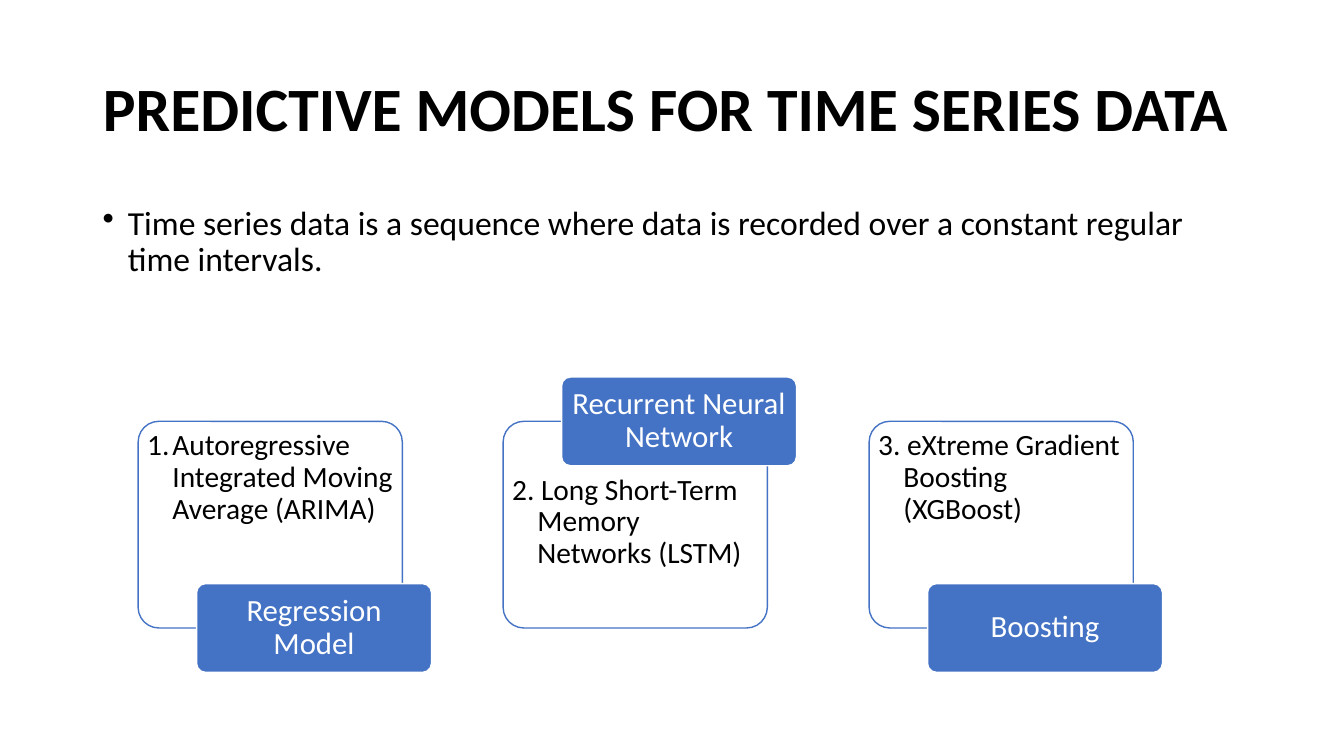
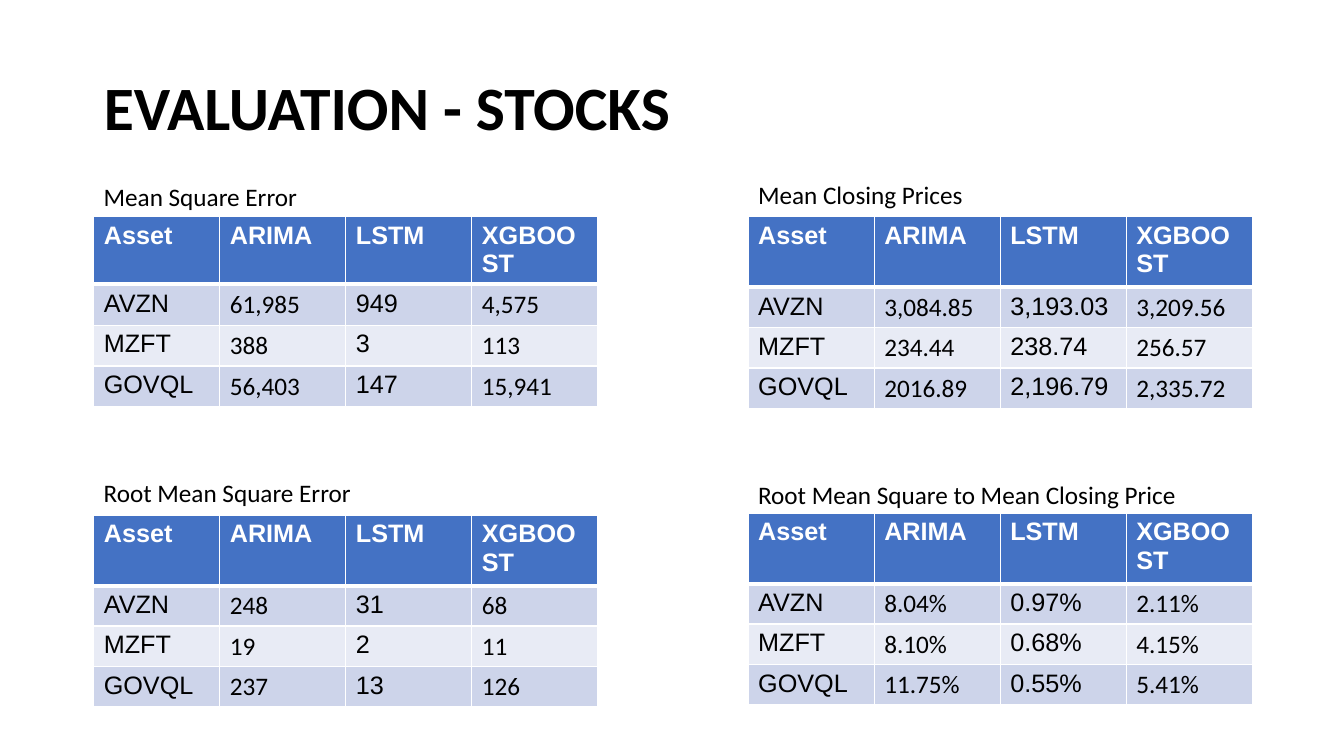
"""Build two slides on predictive models for time series and their evaluation."""
from lxml.etree import SubElement
from pptx import Presentation
from pptx.dml.color import RGBColor
from pptx.enum.shapes import MSO_SHAPE
from pptx.enum.text import MSO_ANCHOR, MSO_AUTO_SIZE, PP_ALIGN
from pptx.oxml import parse_xml
from pptx.oxml.ns import nsdecls, qn
from pptx.util import Inches, Pt

BLUE = RGBColor(0x44, 0x72, 0xC4)
BAND_DARK = RGBColor(0xCD, 0xD4, 0xEA)
BAND_LIGHT = RGBColor(0xE8, 0xEB, 0xF5)
BLACK = RGBColor(0, 0, 0)
WHITE = RGBColor(0xFF, 0xFF, 0xFF)

BODY_FONT = "Calibri"
TABLE_FONT = "Arial"
TITLE_ONLY = 5

CARD_TOP, CARD_WIDTH, CARD_HEIGHT = 4.18, 2.62, 2.05
LABEL_WIDTH, LABEL_HEIGHT, LABEL_SHIFT = 2.33, 0.88, 0.58
CARDS = [
    (1.37, "Autoregressive Integrated Moving Average (ARIMA)", "Regression Model", False),
    (4.99, "2. Long Short-Term Memory Networks (LSTM)", "Recurrent Neural Network", True),
    (8.62, "3. eXtreme Gradient Boosting (XGBoost)", "Boosting", False),
]

COLUMN_WIDTH, HEADER_HEIGHT, ROW_HEIGHT = 1.25, 0.67, 0.4
HEADINGS = ("Asset", "ARIMA", "LSTM", "XGBOOST")
ASSETS = ("AVZN", "MZFT", "GOVQL")
PANELS = [
    ("Mean Square Error", 0.93, 1.75, 2.15,
     [("61,985", "949", "4,575"), ("388", "3", "113"), ("56,403", "147", "15,941")]),
    ("Root Mean Square Error", 0.93, 4.69, 5.11,
     [("248", "31", "68"), ("19", "2", "11"), ("237", "13", "126")]),
    ("Mean Closing Prices", 7.42, 1.73, 2.15,
     [("3,084.85", "3,193.03", "3,209.56"), ("234.44", "238.74", "256.57"),
      ("2016.89", "2,196.79", "2,335.72")]),
    ("Root Mean Square to Mean Closing Price", 7.42, 4.71, 5.09,
     [("8.04%", "0.97%", "2.11%"), ("8.10%", "0.68%", "4.15%"),
      ("11.75%", "0.55%", "5.41%")]),
]


def write_text(text_frame, text, size, color=BLACK, font=BODY_FONT, bold=False,
               align=PP_ALIGN.LEFT, spacing=0.9):
    """Fill a text frame with one formatted paragraph and return it."""
    text_frame.text = text
    paragraph = text_frame.paragraphs[0]
    paragraph.alignment = align
    paragraph.line_spacing = spacing
    run_font = paragraph.runs[0].font
    run_font.name, run_font.size, run_font.bold = font, Pt(size), bold
    run_font.color.rgb = color
    return paragraph


def hang(paragraph, marker=None, **attributes):
    """Give a paragraph a hanging indent and, if named, a bullet element."""
    properties = paragraph._p.get_or_add_pPr()
    properties.set("marL", str(Inches(0.25)))
    properties.set("indent", str(-Inches(0.25)))
    if marker:
        SubElement(properties, qn(marker), attributes)


def add_title_slide(presentation, title, left, top, width, height):
    """Add a title-only slide with the shared title style."""
    slide = presentation.slides.add_slide(presentation.slide_layouts[TITLE_ONLY])
    shape = slide.shapes.title
    shape.left, shape.top = Inches(left), Inches(top)
    shape.width, shape.height = Inches(width), Inches(height)
    text_frame = shape.text_frame
    text_frame.auto_size = MSO_AUTO_SIZE.NONE
    text_frame.vertical_anchor = MSO_ANCHOR.MIDDLE
    write_text(text_frame, title, 44, bold=True)
    return slide


def add_text(slide, text, left, top, width, height, size, spacing):
    """Add a wrapping text box and return its paragraph."""
    box = slide.shapes.add_textbox(Inches(left), Inches(top), Inches(width), Inches(height))
    box.text_frame.word_wrap = True
    return write_text(box.text_frame, text, size, spacing=spacing)


def add_round_box(slide, left, top, width, height, fill, line, margins):
    """Add a rounded rectangle and return its text frame."""
    shape = slide.shapes.add_shape(MSO_SHAPE.ROUNDED_RECTANGLE, Inches(left), Inches(top),
                                   Inches(width), Inches(height))
    shape.adjustments[0] = 0.1
    shape.shadow.inherit = False
    shape.fill.solid()
    shape.fill.fore_color.rgb = fill
    shape.line.color.rgb = line
    shape.line.width = Pt(1)
    text_frame = shape.text_frame
    text_frame.word_wrap = True
    side, upper = margins
    text_frame.margin_left = text_frame.margin_right = Inches(side)
    text_frame.margin_top, text_frame.margin_bottom = Inches(upper), Inches(0.03)
    return text_frame


def add_model_card(slide, left, model, family, label_on_top):
    """Add a model card with its family label across one edge."""
    text_frame = add_round_box(slide, left, CARD_TOP, CARD_WIDTH, CARD_HEIGHT, WHITE, BLUE,
                               (0.03, 0.47 if label_on_top else 0.03))
    text_frame.vertical_anchor = MSO_ANCHOR.TOP
    paragraph = write_text(text_frame, model, 21)
    if model[0].isdigit():
        hang(paragraph)
    else:
        hang(paragraph, "a:buAutoNum", type="arabicPeriod")

    edge = CARD_TOP if label_on_top else CARD_TOP + CARD_HEIGHT
    label = add_round_box(slide, left + LABEL_SHIFT, edge - LABEL_HEIGHT / 2, LABEL_WIDTH,
                          LABEL_HEIGHT, BLUE, WHITE, (0.05, 0.03))
    label.vertical_anchor = MSO_ANCHOR.MIDDLE
    write_text(label, family, 22, WHITE, align=PP_ALIGN.CENTER)


def set_borders(cell, top, bottom):
    """Draw white borders round a cell, with the given top and bottom widths."""
    properties = cell._tc.get_or_add_tcPr()
    widths = {"lnL": 1, "lnR": 1, "lnT": top, "lnB": bottom}
    for position, (side, width) in enumerate(widths.items()):
        properties.insert(position, parse_xml(
            f'<a:{side} {nsdecls("a")} w="{Pt(width)}"><a:solidFill>'
            f'<a:srgbClr val="{WHITE}"/></a:solidFill></a:{side}>'))


def add_score_table(slide, left, top, scores):
    """Add a banded table of one score per asset and model."""
    rows = [HEADINGS] + [(asset, *values) for asset, values in zip(ASSETS, scores)]
    table = slide.shapes.add_table(
        len(rows), len(HEADINGS), Inches(left), Inches(top),
        Inches(COLUMN_WIDTH * len(HEADINGS)),
        Inches(HEADER_HEIGHT + ROW_HEIGHT * len(ASSETS))).table
    for column in table.columns:
        column.width = Inches(COLUMN_WIDTH)
    for row_index, values in enumerate(rows):
        header = row_index == 0
        table.rows[row_index].height = Inches(HEADER_HEIGHT if header else ROW_HEIGHT)
        band = BAND_DARK if row_index % 2 else BAND_LIGHT
        for column_index, value in enumerate(values):
            cell = table.cell(row_index, column_index)
            cell.fill.solid()
            cell.fill.fore_color.rgb = BLUE if header else band
            font = BODY_FONT if column_index % 2 and not header else TABLE_FONT
            write_text(cell.text_frame, value, 18, WHITE if header else BLACK, font,
                       bold=header, spacing=1.0)
            set_borders(cell, 3 if row_index == 1 else 1, 3 if header else 1)


def build_models_slide(presentation):
    """Build the slide that introduces the three models."""
    slide = add_title_slide(presentation, "PREDICTIVE MODELS FOR TIME SERIES DATA",
                            0.92, 0.4, 11.5, 1.42)
    paragraph = add_text(
        slide, "Time series data is a sequence where data is recorded over a constant "
        "regular time intervals.", 0.92, 2, 11.5, 1, 24, 0.9)
    hang(paragraph, "a:buChar", char="•")
    for card in CARDS:
        add_model_card(slide, *card)


def build_evaluation_slide(presentation):
    """Build the slide with the four score tables."""
    slide = add_title_slide(presentation, "EVALUATION - STOCKS", 0.93, 0.37, 10.98, 1.45)
    for caption, left, caption_top, table_top, scores in PANELS:
        add_score_table(slide, left, table_top, scores)
        add_text(slide, caption, left, caption_top, 4.4, 0.4, 18, 1.0)


def main():
    """Build and save the presentation."""
    presentation = Presentation()
    presentation.slide_width, presentation.slide_height = Inches(13.33), Inches(7.5)
    build_models_slide(presentation)
    build_evaluation_slide(presentation)
    presentation.save("out.pptx")


if __name__ == "__main__":
    main()
